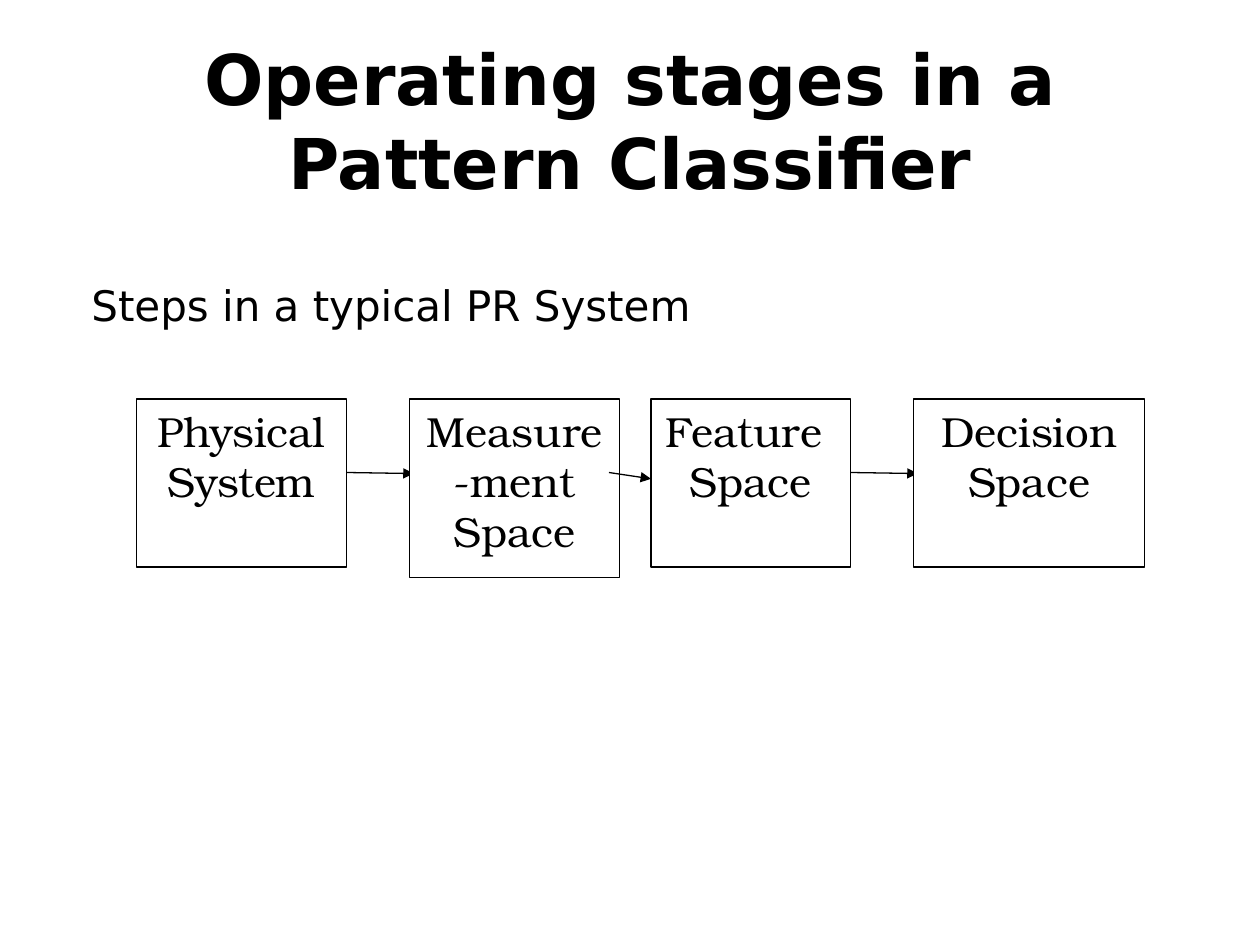
from lxml.etree import SubElement
from pptx import Presentation
from pptx.dml.color import RGBColor
from pptx.enum.shapes import MSO_CONNECTOR, MSO_SHAPE
from pptx.enum.text import MSO_ANCHOR, MSO_AUTO_SIZE, PP_ALIGN
from pptx.oxml.ns import qn
from pptx.util import Inches, Pt

prs = Presentation()
prs.slide_width, prs.slide_height = Inches(10), Inches(7.5)
COL, ROW = prs.slide_width / 120, prs.slide_height / 90
BLACK, WHITE = "000000", "FFFFFF"


def rgb(value):
    return RGBColor.from_string(value)


def write(sp, text, font="DejaVu Sans", size=24, bold=False, color=BLACK,
          align=PP_ALIGN.CENTER, anchor=MSO_ANCHOR.TOP, before=0):
    tf = sp.text_frame
    tf.word_wrap = True
    tf.auto_size = MSO_AUTO_SIZE.NONE
    tf.vertical_anchor = anchor
    tf.text = text
    for p in tf.paragraphs:
        p.alignment = align
        p.space_before = Pt(before)
        for r in p.runs:
            r.font.name, r.font.size, r.font.bold = font, Pt(size), bold
            r.font.color.rgb = rgb(color)


s = prs.slides.add_slide(prs.slide_layouts[1])
title, body = s.placeholders
for sp, top, height in [(title, 4, 16), (body, 26, 53)]:
    sp.left, sp.top = int(7.5 * COL), int(top * ROW)
    sp.width, sp.height = int(105 * COL), int(height * ROW)

write(title, "Operating stages in a Pattern Classifier", size=40, bold=True,
      anchor=MSO_ANCHOR.BOTTOM)
write(body, "Steps in a typical PR System", align=PP_ALIGN.LEFT, before=6)
pPr = body.text_frame.paragraphs[0]._p.get_or_add_pPr()
pPr.set("marL", str(Inches(0.51)))
pPr.set("indent", str(-Inches(0.51)))
SubElement(pPr, qn("a:buNone"))

stages = [
    ("Physical\nSystem", 13, 20, 16, (33, 39.4, 45.1)),
    ("Measure-ment Space", 39, 20, 17, (58, 62, 45.6)),
    ("Feature \nSpace", 62, 19, 16, (81, 87.4, 45.1)),
    ("Decision Space", 87, 22, 16, None),
]
for text, col, cols, rows, arrow in stages:
    box = s.shapes.add_shape(MSO_SHAPE.RECTANGLE, int(col * COL), int(38 * ROW),
                             int(cols * COL), int(rows * ROW))
    box.shadow.inherit = False
    box.fill.solid()
    box.fill.fore_color.rgb = rgb(WHITE)
    box.line.color.rgb = rgb(BLACK)
    box.line.width = Pt(0.75)
    write(box, text, font="TeX Gyre Bonum")
    if arrow:
        start, end, end_row = arrow
        line = s.shapes.add_connector(MSO_CONNECTOR.STRAIGHT, int(start * COL), int(45 * ROW),
                                      int(end * COL), int(end_row * ROW))
        line.line.color.rgb = rgb(BLACK)
        line.line.width = Pt(0.75)
        SubElement(line.line._get_or_add_ln(), qn("a:tailEnd"), type="triangle")
        SubElement(line._element.spPr, qn("a:effectLst"))

prs.save("out.pptx")
